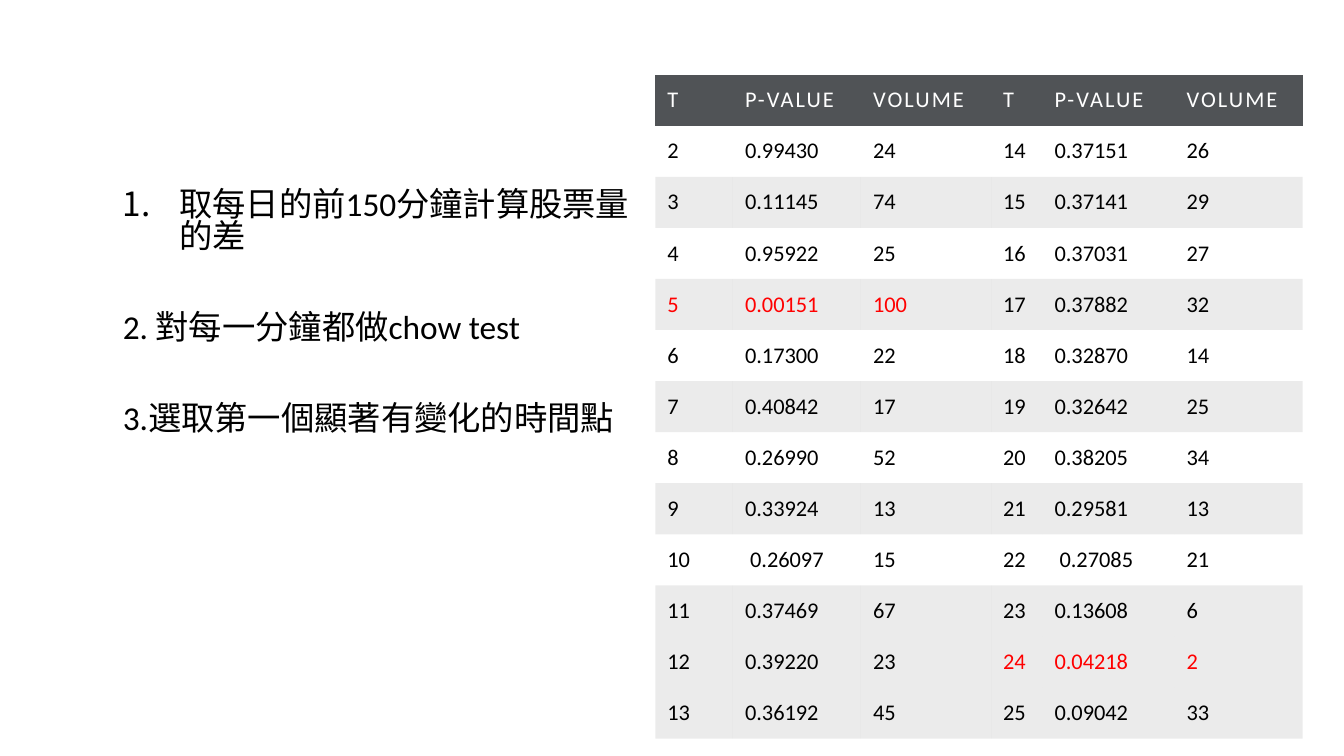
"""Build a slide with the Chow test steps and a table of p-values and volumes."""
from lxml import etree
from pptx import Presentation
from pptx.dml.color import RGBColor
from pptx.enum.text import MSO_ANCHOR
from pptx.oxml.ns import qn
from pptx.util import Inches, Pt

MIDDLE = MSO_ANCHOR.MIDDLE
FONT = "Calibri"
COLORS = {"text": "000000", "header": "505356", "header_text": "FFFFFF",
          "band": "000000", "significant": "FF0000"}
BAND_ALPHA = "8000"
NO_GRID_STYLE = "{2D5ABB26-0587-4C30-8999-92F81FD0307C}"

STEPS = [
    "取每日的前150分鐘計算股票量的差",
    "2. 對每一分鐘都做chow test",
    "3.選取第一個顯著有變化的時間點",
]
HEADINGS = ("T", "P-VALUE", "VOLUME")
FIRST_T = 2
RESULTS = [
    ("0.99430", 24), ("0.11145", 74), ("0.95922", 25), ("0.00151", 100),
    ("0.17300", 22), ("0.40842", 17), ("0.26990", 52), ("0.33924", 13),
    (" 0.26097", 15), ("0.37469", 67), ("0.39220", 23), ("0.36192", 45),
    ("0.37151", 26), ("0.37141", 29), ("0.37031", 27), ("0.37882", 32),
    ("0.32870", 14), ("0.32642", 25), ("0.38205", 34), ("0.29581", 13),
    (" 0.27085", 21), ("0.13608", 6), ("0.04218", 2), ("0.09042", 33),
]
SIGNIFICANT_LEVEL = 0.05
BANDED_ROWS = (2, 4, 6, 8, 10, 11, 12)
COLUMN_WIDTHS = (0.77, 1.27, 1.29, 0.51, 1.31, 1.27)
TABLE_LEFT, TABLE_TOP, TABLE_HEIGHT = 6.5, 0.74, 6.59


def color(name):
    return RGBColor.from_string(COLORS[name])


def add_steps(page):
    box = page.shapes.add_textbox(Inches(1.12), Inches(1.85), Inches(5.38), Inches(2.77))
    frame = box.text_frame
    frame.word_wrap = True
    frame.margin_right = Inches(0.15)
    for index, step in enumerate(STEPS):
        para = frame.paragraphs[0] if index == 0 else frame.add_paragraph()
        para.text = step
        para.line_spacing = 0.8
        if index == 0:
            properties = para._p.get_or_add_pPr()
            properties.set("marL", str(Inches(0.56)))
            properties.set("indent", str(-Inches(0.56)))
            etree.SubElement(properties, qn("a:buFont"), typeface="+mj-lt")
            etree.SubElement(properties, qn("a:buAutoNum"), type="arabicPeriod")
        else:
            para.space_before = Pt(42)
        para.font.size = Pt(23.8)
        para.font.name = FONT
        para.font.color.rgb = color("text")


def fill_cell(cell, row):
    if row == 0:
        cell.fill.solid()
        cell.fill.fore_color.rgb = color("header")
    elif row in BANDED_ROWS:
        cell.fill.solid()
        cell.fill.fore_color.rgb = color("band")
        shade = cell._tc.tcPr.find(".//" + qn("a:srgbClr"))
        etree.SubElement(shade, qn("a:alpha"), val=BAND_ALPHA)
    else:
        cell.fill.background()


def write_cell(cell, value, text_color, is_header):
    cell.margin_left = cell.margin_right = Inches(0.12)
    cell.margin_top = cell.margin_bottom = Inches(0.11)
    cell.vertical_anchor = MIDDLE
    para = cell.text_frame.paragraphs[0]
    span = para.add_run()
    span.text = str(value)
    para.font.size = Pt(16)
    para.font.name = FONT
    para.font.color.rgb = color(text_color)
    if is_header:
        span._r.get_or_add_rPr().set("spc", "150")


def add_results(page):
    half = len(RESULTS) // 2
    row_count = half + 1
    table = page.shapes.add_table(
        row_count, len(COLUMN_WIDTHS), Inches(TABLE_LEFT), Inches(TABLE_TOP),
        Inches(sum(COLUMN_WIDTHS)), Inches(TABLE_HEIGHT)).table
    table.first_row = table.horz_banding = False
    table._tbl.tblPr.find(qn("a:tableStyleId")).text = NO_GRID_STYLE
    for column, width in zip(table.columns, COLUMN_WIDTHS):
        column.width = Inches(width)
    for row in range(row_count):
        table.rows[row].height = Inches(TABLE_HEIGHT / row_count)
        for side in range(2):
            if row == 0:
                values, text_color = HEADINGS, "header_text"
            else:
                position = side * half + row - 1
                p_value, volume = RESULTS[position]
                values = (FIRST_T + position, p_value, volume)
                significant = float(p_value) < SIGNIFICANT_LEVEL
                text_color = "significant" if significant else "text"
            for offset, value in enumerate(values):
                cell = table.cell(row, side * len(HEADINGS) + offset)
                fill_cell(cell, row)
                write_cell(cell, value, text_color, row == 0)


def main():
    deck = Presentation()
    deck.slide_width, deck.slide_height = Inches(13.33), Inches(7.5)
    page = deck.slides.add_slide(deck.slide_layouts[6])
    add_steps(page)
    add_results(page)
    deck.save("out.pptx")


if __name__ == "__main__":
    main()
